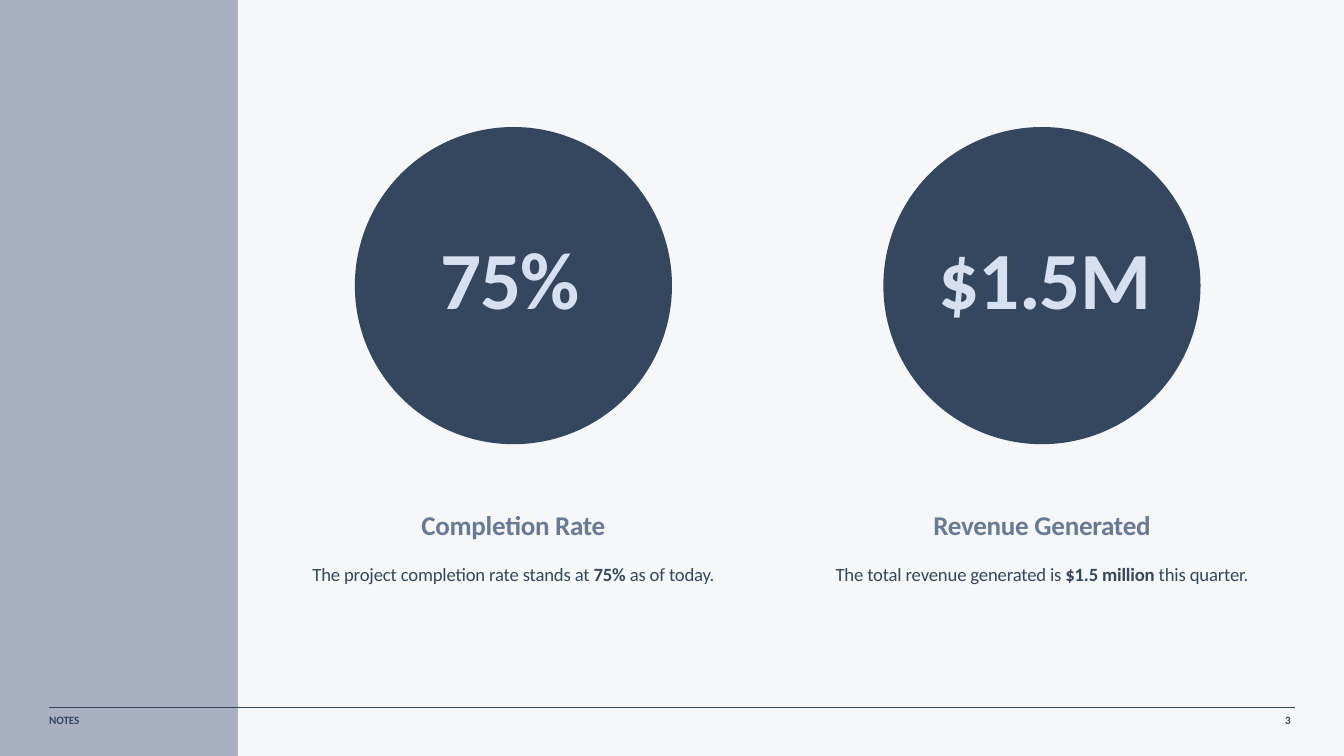
from lxml import etree
from pptx import Presentation
from pptx.dml.color import RGBColor
from pptx.enum import shapes, text
from pptx.oxml.ns import qn
from pptx.util import Inches, Pt

COLORS = {
    "background": "F5F7F9",
    "sidebar": "A7B1C2",
    "dark": "35475E",
    "heading": "687A95",
    "figure": "D6E0F0",
}
FONT = "Calibri"

# Each metric: figure, centre of the figure, heading, sentence parts as (text, bold)
METRICS = [
    ("75%", 7.59, "Completion Rate",
     [("The project completion rate stands at ", False), ("75%", True),
      (" as of today.", False)]),
    ("$1.5M", 15.55, "Revenue Generated",
     [("The total revenue generated is ", False), ("$1.5 million", True),
      (" this quarter.", False)]),
]
FOOTER, PAGE_NUMBER = "NOTES", "3"

SLIDE_WIDTH, SLIDE_HEIGHT = 20, 11.25
SIDEBAR_WIDTH = 3.54
MARGIN = 0.73
RULE_TOP = 10.52
FIRST_CENTER, COLUMN_STEP = 7.64, 7.865
COLUMN_WIDTH = 7.53
CIRCLE_TOP, CIRCLE_SIZE = 1.89, 4.72
FIGURE_WIDTH = 3.48

# Text styles: size, line height, letter spacing (points), colour
STYLES = {
    "figure": (87, 95.7, -0.9, "figure"),
    "heading": (29, 31.9, -0.3, "heading"),
    "body": (20, 28, -0.2, "dark"),
    "footer": (12, 16.8, -0.1, "dark"),
    "page": (12, 16.8, 0, "dark"),
}


def color(name):
    return RGBColor.from_string(COLORS[name])


def add_filled(slide, kind, box, fill):
    shape = slide.shapes.add_shape(kind, *map(Inches, box))
    shape.shadow.inherit = False
    shape.fill.solid()
    shape.fill.fore_color.rgb = color(fill)
    shape.line.fill.background()


def add_text(slide, box, parts, style, align=text.PP_ALIGN.CENTER, wrap=True):
    """Add one line of text; parts are (text, bold) pairs."""
    size, line_height, tracking, ink = STYLES[style]
    frame = slide.shapes.add_textbox(*map(Inches, box)).text_frame
    frame.margin_left = frame.margin_right = 0
    frame.margin_top = frame.margin_bottom = 0
    frame.word_wrap = wrap
    paragraph = frame.paragraphs[0]
    paragraph.alignment = align
    paragraph.line_spacing = Pt(line_height)
    paragraph.font.name = FONT
    paragraph.font.size = Pt(size)
    paragraph.font.color.rgb = color(ink)
    for words, bold in parts:
        run = paragraph.add_run()
        run.text = words
        run.font.bold = bold
        run.font.name = FONT
        run.font.size = Pt(size)
        run.font.color.rgb = color(ink)
        run._r.get_or_add_rPr().set("spc", str(round(tracking * 100)))


def add_metric(slide, center, figure, figure_center, heading, sentence):
    add_filled(slide, shapes.MSO_SHAPE.OVAL,
               (center - CIRCLE_SIZE / 2, CIRCLE_TOP, CIRCLE_SIZE, CIRCLE_SIZE), "dark")
    add_text(slide, (figure_center - FIGURE_WIDTH / 2, 3.52, FIGURE_WIDTH, 1.44),
             [(figure, True)], "figure")
    left = center - COLUMN_WIDTH / 2
    add_text(slide, (left, 7.6, COLUMN_WIDTH, 0.48), [(heading, True)], "heading")
    add_text(slide, (left, 8.32, COLUMN_WIDTH, 0.39), sentence, "body")


def add_footer(slide):
    rule = slide.shapes.add_connector(
        shapes.MSO_CONNECTOR.STRAIGHT, Inches(MARGIN), Inches(RULE_TOP),
        Inches(SLIDE_WIDTH - MARGIN), Inches(RULE_TOP))
    rule.line.color.rgb = color("dark")
    rule.line.width = Pt(0.75)
    etree.SubElement(rule._element.spPr, qn("a:effectLst"))
    add_text(slide, (MARGIN, 10.58, 2.81, 0.24), [(FOOTER, True)], "footer",
             text.PP_ALIGN.LEFT)
    add_text(slide, (19.04, 10.58, 0.17, 0.21), [(PAGE_NUMBER, True)], "page",
             text.PP_ALIGN.RIGHT, wrap=False)


def main():
    presentation = Presentation()
    presentation.slide_width = Inches(SLIDE_WIDTH)
    presentation.slide_height = Inches(SLIDE_HEIGHT)
    slide = presentation.slides.add_slide(presentation.slide_layouts[6])
    slide.background.fill.solid()
    slide.background.fill.fore_color.rgb = color("background")

    for index, metric in enumerate(METRICS):
        add_metric(slide, FIRST_CENTER + index * COLUMN_STEP, *metric)
    add_filled(slide, shapes.MSO_SHAPE.RECTANGLE,
               (0, 0, SIDEBAR_WIDTH, SLIDE_HEIGHT), "sidebar")
    add_footer(slide)
    presentation.save("out.pptx")


if __name__ == "__main__":
    main()
